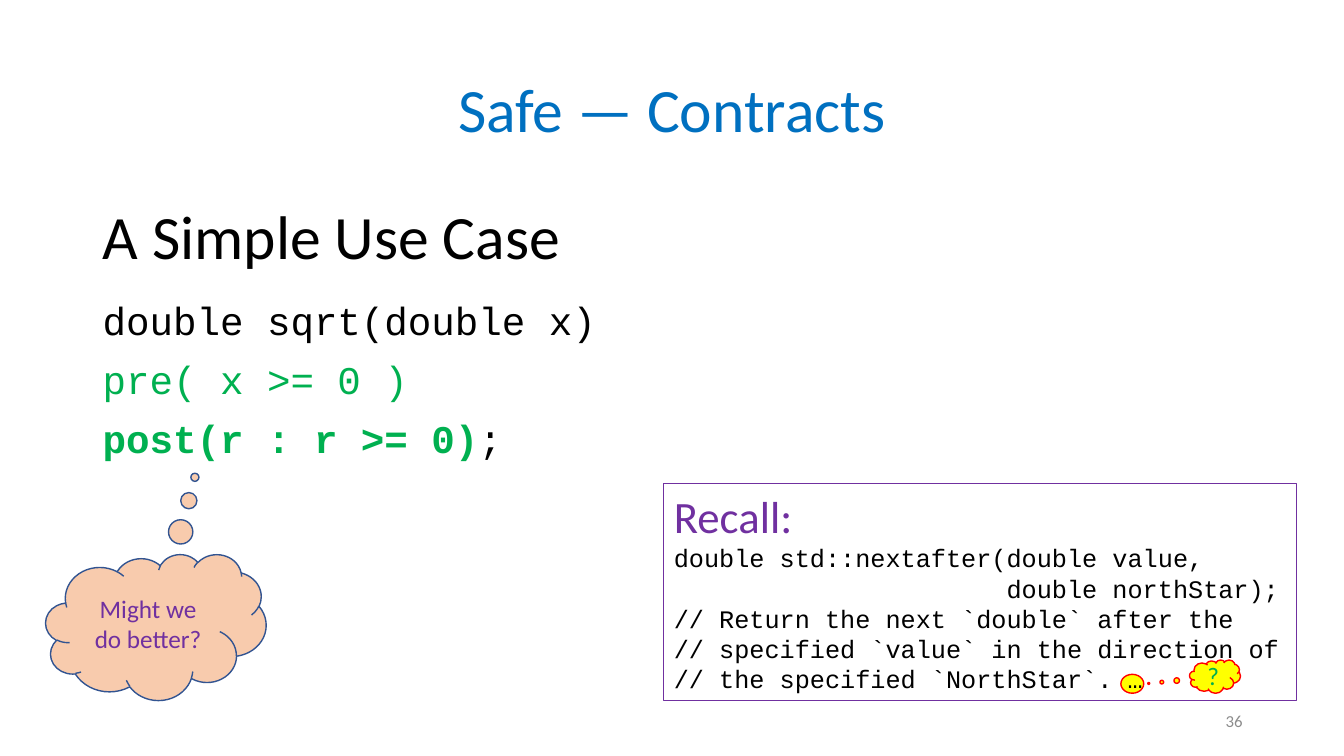
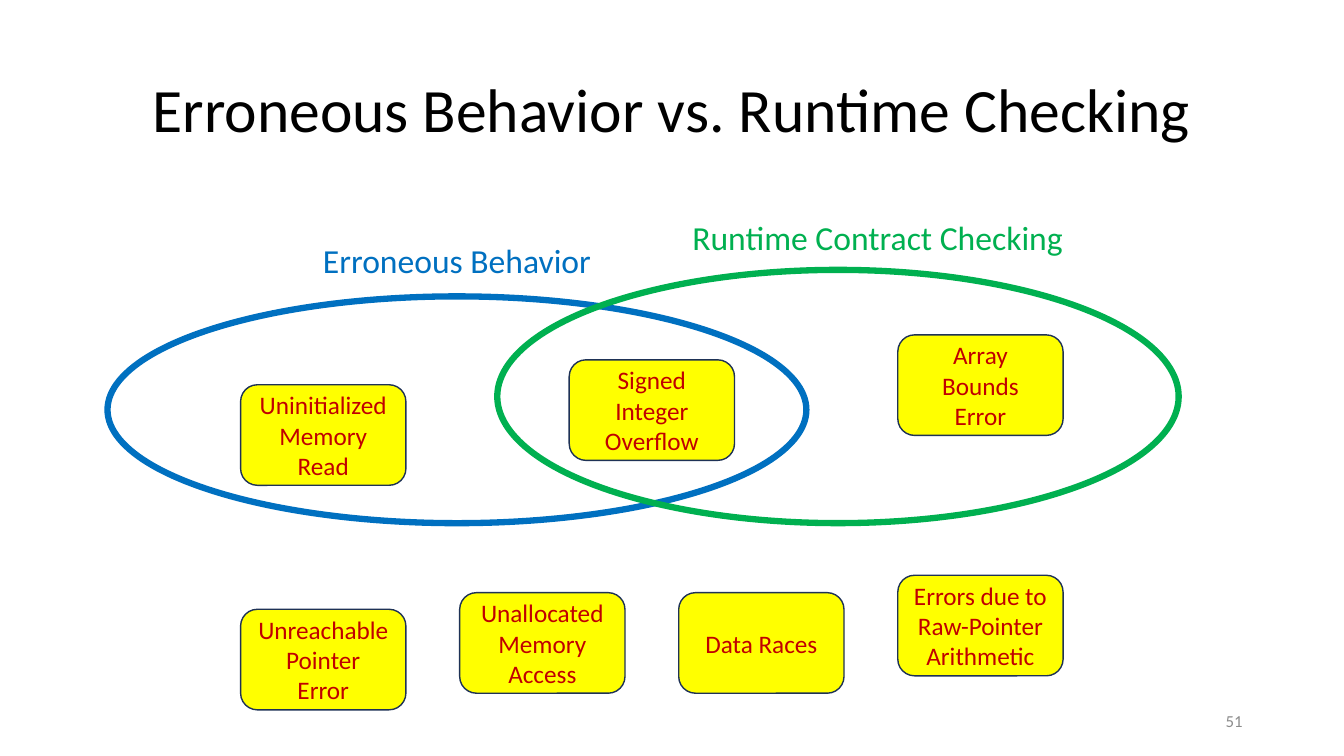
from pptx import Presentation
from pptx.dml.color import RGBColor
from pptx.enum.shapes import MSO_SHAPE as Preset
from pptx.enum.text import MSO_ANCHOR as Anchor, MSO_AUTO_SIZE as AutoSize, PP_ALIGN as Align
from pptx.util import Inches, Pt

BLACK = RGBColor(0x00, 0x00, 0x00)
BLUE = RGBColor(0x00, 0x70, 0xC0)
GREEN = RGBColor(0x00, 0xB0, 0x50)
PURPLE = RGBColor(0x70, 0x30, 0xA0)
RED = RGBColor(0xFF, 0x00, 0x00)
DARK_RED = RGBColor(0xC0, 0x00, 0x00)
YELLOW = RGBColor(0xFF, 0xFF, 0x00)
PEACH = RGBColor(0xF8, 0xCB, 0xAD)
STEEL = RGBColor(0x32, 0x54, 0x91)
NAVY = RGBColor(0x1E, 0x32, 0x56)
GRAY = RGBColor(0x8C, 0x8C, 0x8C)

SANS, MONO = "Calibri", "Courier New"
TITLE_ONLY = 5


class Slides:
    """Style and current page; areas are (left, top, width, height) in percent of the page."""

    def __init__(self):
        self.deck = Presentation()
        self.deck.slide_width, self.deck.slide_height = Inches(13.33), Inches(7.5)
        self.page = None

    def place(self, area):
        sides = (self.deck.slide_width, self.deck.slide_height) * 2
        return [round(share * side / 100) for share, side in zip(area, sides)]

    def new_page(self, title, number, color=BLACK):
        self.page = self.deck.slides.add_slide(self.deck.slide_layouts[TITLE_ONLY])
        heading = self.page.shapes.title
        heading.left, heading.top, heading.width, heading.height = self.place((6.9, 5.3, 86.2, 19.3))
        self.frame(heading, Anchor.MIDDLE)
        self.line(heading, title, 44, color, align=Align.CENTER, spacing=0.9)
        footer = self.text_box((70.7, 92.7, 22.5, 5.3), Anchor.MIDDLE)
        self.line(footer, str(number), 12, GRAY, align=Align.RIGHT)

    def frame(self, box, anchor):
        box.text_frame.word_wrap = True
        box.text_frame.auto_size = AutoSize.NONE
        box.text_frame.vertical_anchor = anchor

    def line(self, box, text, size, color, font=SANS, bold=False,
             align=Align.LEFT, spacing=1.0, before=0):
        """Add one paragraph, filling the empty first one if there is one."""
        para = box.text_frame.paragraphs[0]
        if para.runs:
            para = box.text_frame.add_paragraph()
        para.alignment, para.line_spacing, para.space_before = align, spacing, Pt(before)
        para.font.name, para.font.size = font, Pt(size)
        para.font.color.rgb, para.font.bold = color, bold
        para.add_run().text = text
        return para

    def text_box(self, area, anchor=Anchor.TOP, shapes=None):
        box = (shapes or self.page.shapes).add_textbox(*self.place(area))
        self.frame(box, anchor)
        return box

    def shape(self, preset, area, outline, width=1.0, fill=None,
              anchor=Anchor.MIDDLE, shapes=None):
        box = (shapes or self.page.shapes).add_shape(preset, *self.place(area))
        box.shadow.inherit = False
        if fill is None:
            box.fill.background()
        else:
            box.fill.solid()
            box.fill.fore_color.rgb = fill
        box.line.color.rgb, box.line.width = outline, Pt(width)
        self.frame(box, anchor)
        return box

    def thought(self, area, tail, text, color, fill, outline):
        cloud = self.shape(Preset.CLOUD_CALLOUT, area, outline, fill=fill)
        cloud.adjustments[0], cloud.adjustments[1] = tail
        self.line(cloud, text, 18, color, align=Align.CENTER)

    def ring(self, area, label_area, label, color):
        shapes = self.page.shapes.add_group_shape().shapes
        self.shape(Preset.OVAL, area, color, width=4.5, shapes=shapes)
        caption = self.text_box(label_area, shapes=shapes)
        self.line(caption, label, 24, color, align=Align.CENTER)

    def card(self, column, top, lines):
        area = (17.9 + 16.3 * column, top, 12.3, 13.3)
        box = self.shape(Preset.ROUNDED_RECTANGLE, area, NAVY, fill=YELLOW)
        for text in lines:
            self.line(box, text, 18, DARK_RED, align=Align.CENTER)


def contracts(slides):
    slides.new_page("Safe — Contracts", 36, BLUE)

    # Function with its conditions
    body = slides.text_box((6.9, 26.7, 86.2, 36))
    slides.line(body, "A Simple Use Case", 44, BLACK, spacing=0.9)
    code = {"font": MONO, "spacing": 0.9}
    slides.line(body, "double sqrt(double x)", 28, BLACK, before=20, **code)
    slides.line(body, "pre( x >= 0 )", 28, GREEN, before=12, **code)
    post = slides.line(body, "post(r : r >= 0)", 28, GREEN, bold=True, before=12, **code)
    end = post.add_run()
    end.text = ";"
    end.font.bold, end.font.color.rgb = False, BLACK

    slides.thought((3.4, 73.3, 16.4, 19.3), (0.177, -1.027),
                   "Might we do better?", PURPLE, PEACH, STEEL)

    # Reminder, with a highlight behind its last characters
    slides.shape(Preset.OVAL, (83.4, 89.2, 1.7, 2.5), RED, fill=YELLOW)
    recall = slides.shape(Preset.RECTANGLE, (49.4, 64, 47.1, 28.7), PURPLE,
                          width=0.75, anchor=Anchor.TOP)
    slides.line(recall, "Recall:", 32, PURPLE)
    for text in ("double std::nextafter(double value,",
                 "                      double northStar);",
                 "// Return the next `double` after the",
                 "// specified `value` in the direction of",
                 "// the specified `NorthStar`. …"):
        slides.line(recall, text, 18, BLACK, font=MONO)
    slides.thought((88.5, 87.3, 3.8, 4.4), (-1.298, 0.207), "?", GREEN, YELLOW, RED)


def checking(slides):
    slides.new_page("Erroneous Behavior vs. Runtime Checking", 51)

    # Overlapping sets
    slides.ring((8, 39.2, 52, 30), (21.5, 31.1, 25, 6.7), "Erroneous Behavior", BLUE)
    slides.ring((37, 35.7, 50.7, 33.5), (50, 28, 30.6, 6.7), "Runtime Contract Checking", GREEN)

    # Kinds of error: column, top, lines
    for column, top, lines in (
        (1.5, 47.6, ("Signed", "Integer", "Overflow")),
        (3, 44.3, ("Array", "Bounds", "Error")),
        (0, 50.9, ("Uninitialized", "Memory", "Read")),
        (1, 78.4, ("Unallocated", "Memory", "Access")),
        (2, 78.4, ("Data Races",)),
        (3, 76.1, ("Errors due to", "Raw-Pointer Arithmetic")),
        (0, 80.6, ("Unreachable Pointer", "Error")),
    ):
        slides.card(column, top, lines)


def main():
    slides = Slides()
    contracts(slides)
    checking(slides)
    slides.deck.save("out.pptx")


if __name__ == "__main__":
    main()
